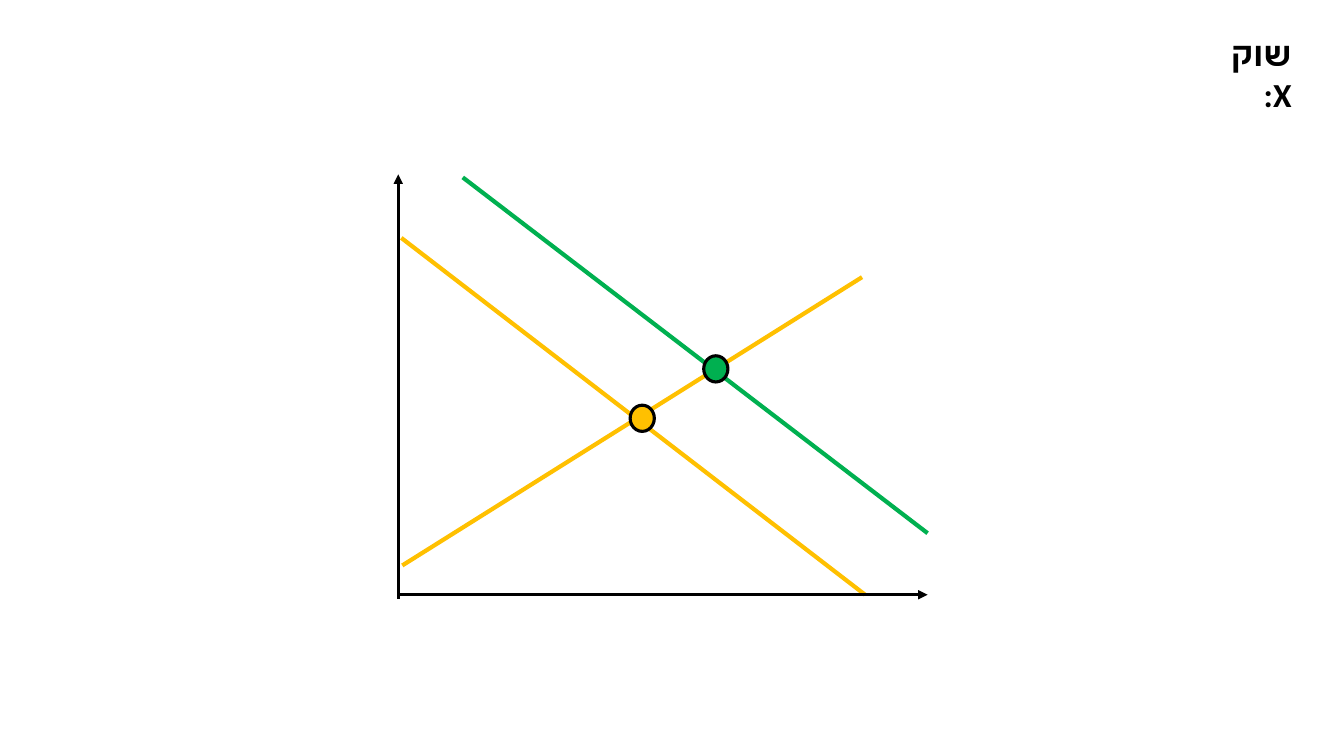
import pptx
import pptx.dml.color
import pptx.enum.shapes
import pptx.enum.text
import pptx.oxml.ns
import pptx.util
from lxml import etree
from pptx.util import Inches

BLACK, YELLOW, GREEN = "000000", "FFC000", "00B050"


def color(hex_string):
    return pptx.dml.color.RGBColor.from_string(hex_string)


def write_text(frame, text, size, font, ink, bold=False):
    """Fill a frame with one right-to-left paragraph."""
    paragraph = frame.paragraphs[0]
    paragraph.alignment = pptx.enum.text.PP_ALIGN.RIGHT
    paragraph._p.get_or_add_pPr().set("rtl", "1")
    run = paragraph.add_run()
    run.text = text
    run.font.size = pptx.util.Pt(size)
    run.font.name = font
    run.font.bold = bold
    run.font.color.rgb = color(ink)
    complex_script = etree.SubElement(run._r.get_or_add_rPr(), pptx.oxml.ns.qn("a:cs"))
    complex_script.set("typeface", font)


presentation = pptx.Presentation()
presentation.slide_width = Inches(13.33)
presentation.slide_height = Inches(7.5)
slide = presentation.slides.add_slide(presentation.slide_layouts[5])

# Heading
market_title = slide.shapes.title
market_title.left, market_title.top = Inches(11.81), Inches(0.28)
market_title.width, market_title.height = Inches(1.1), Inches(0.9)
title_frame = market_title.text_frame
title_frame.word_wrap = True
title_frame.auto_size = pptx.enum.text.MSO_AUTO_SIZE.NONE
title_frame.vertical_anchor = pptx.enum.text.MSO_ANCHOR.TOP
write_text(title_frame, "שוק X:", size=24, font="Calibri", ink=BLACK, bold=True)

# Axes and curves: start, end, colour, width, arrowhead
old_demand = ((3.98, 2.36), (8.58, 5.9), YELLOW, 3, False)
price_axis = ((3.95, 5.94), (3.95, 1.73), BLACK, 2.25, True)
quantity_axis = ((3.95, 5.9), (9.2, 5.9), BLACK, 2.25, True)
supply = ((3.99, 5.61), (8.55, 2.75), YELLOW, 3, False)
new_demand = ((4.59, 1.76), (9.2, 5.29), GREEN, 3, False)

for start, end, ink, width, has_arrow in (
    old_demand, price_axis, quantity_axis, supply, new_demand
):
    curve = slide.shapes.add_connector(
        pptx.enum.shapes.MSO_CONNECTOR.STRAIGHT,
        *(Inches(value) for value in start + end),
    )
    curve.line.color.rgb = color(ink)
    curve.line.width = pptx.util.Pt(width)
    properties = curve._element.spPr
    if has_arrow:
        arrowhead = etree.SubElement(
            properties.find(pptx.oxml.ns.qn("a:ln")), pptx.oxml.ns.qn("a:tailEnd")
        )
        arrowhead.set("type", "triangle")
    etree.SubElement(properties, pptx.oxml.ns.qn("a:effectLst"))

# Equilibrium points
for left, top, fill in ((6.25, 4.02, YELLOW), (6.98, 3.53, GREEN)):
    equilibrium = slide.shapes.add_shape(
        pptx.enum.shapes.MSO_SHAPE.OVAL,
        Inches(left), Inches(top), Inches(0.24), Inches(0.26),
    )
    equilibrium.shadow.inherit = False
    equilibrium.fill.solid()
    equilibrium.fill.fore_color.rgb = color(fill)
    equilibrium.line.color.rgb = color(BLACK)
    equilibrium.line.width = pptx.util.Pt(2.25)

presentation.save("out.pptx")
